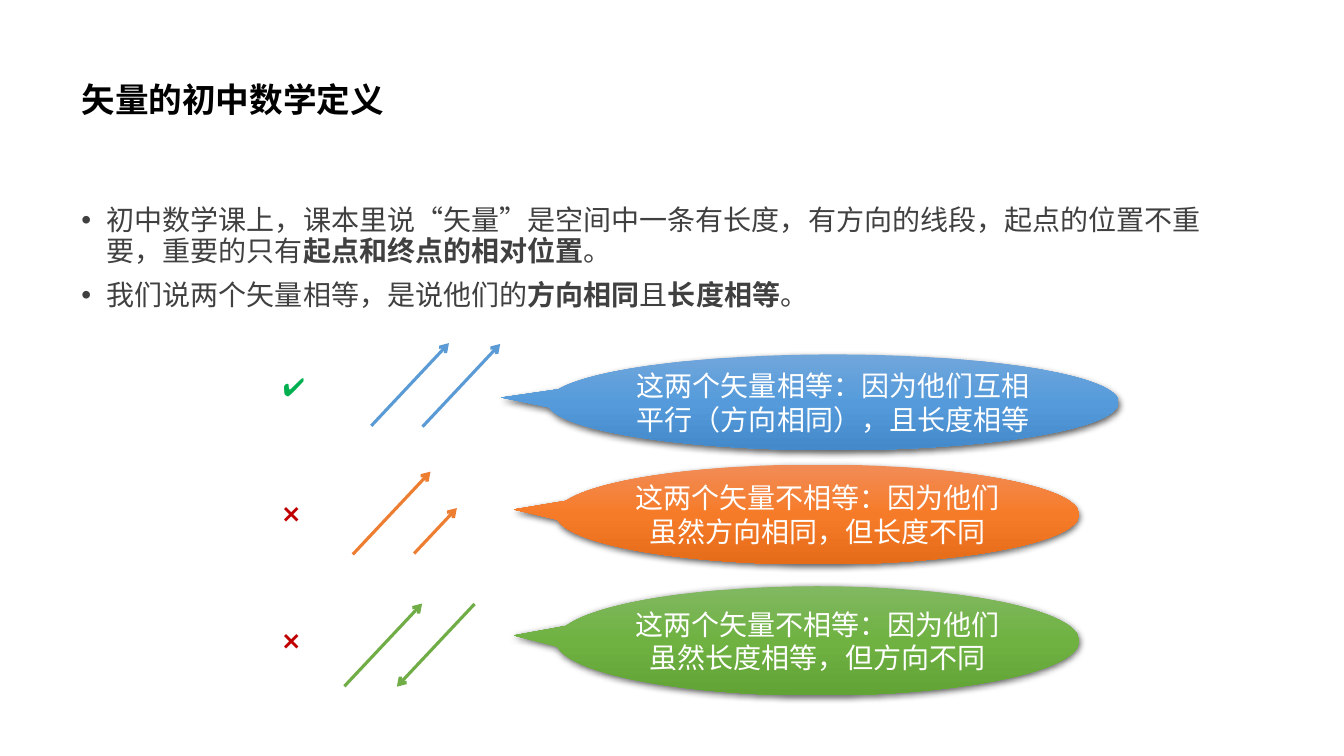
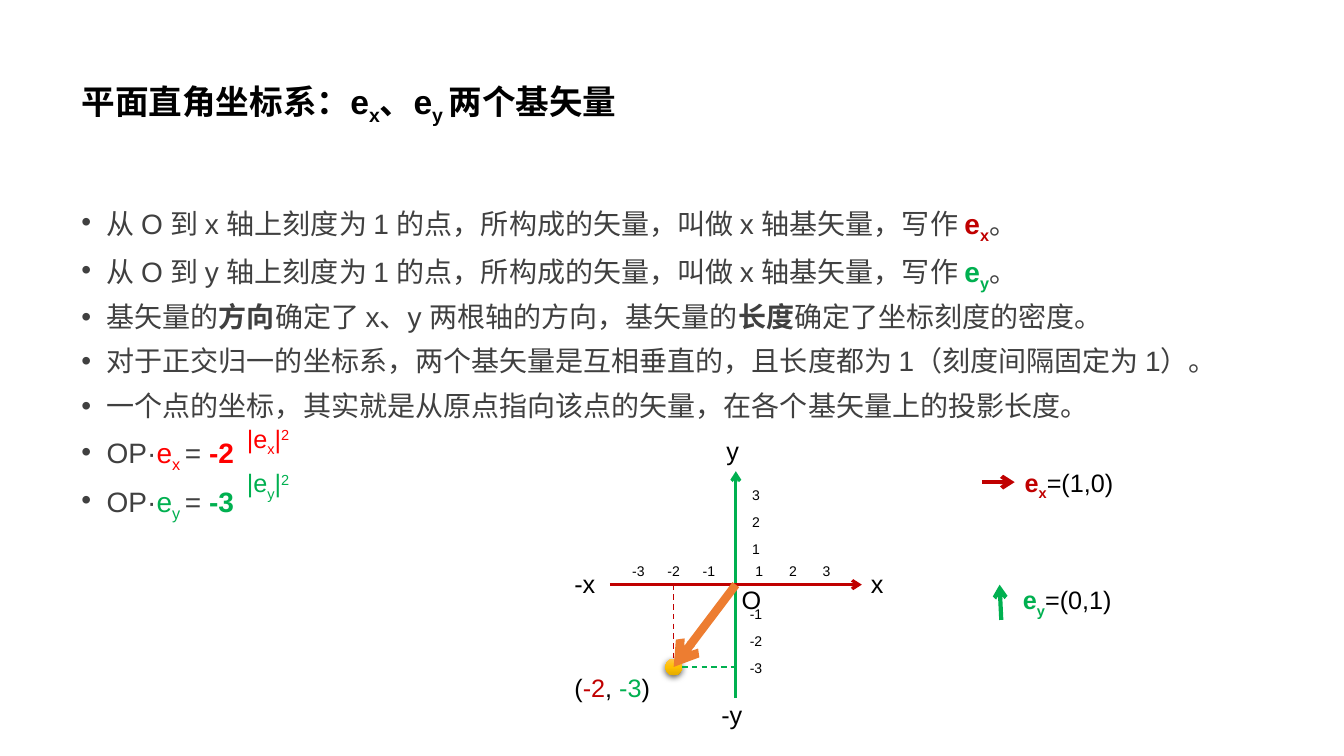
from copy import deepcopy

from lxml import etree
from pptx import Presentation
from pptx.dml.color import RGBColor
from pptx.enum import dml, lang, shapes, text
from pptx.oxml import ns
from pptx.util import Emu, Inches, Pt

WIDTH, HEIGHT = Inches(13.33), Inches(7.5)
COLUMNS, ROWS = 160, 90
FONT = "Arial"
BLACK = RGBColor(0x00, 0x00, 0x00)
WHITE = RGBColor(0xFF, 0xFF, 0xFF)
GREY = RGBColor(0x40, 0x40, 0x40)
CRIMSON = RGBColor(0xC0, 0x00, 0x00)
RED = RGBColor(0xFF, 0x00, 0x00)
GREEN = RGBColor(0x00, 0xB0, 0x50)
BLUE = RGBColor(0x5B, 0x9B, 0xD5)
ORANGE = RGBColor(0xED, 0x7D, 0x31)
LEAF = RGBColor(0x70, 0xAD, 0x47)
BLUE_BLEND = [RGBColor(0x71, 0xA6, 0xDB), RGBColor(0x55, 0x9B, 0xDB), RGBColor(0x44, 0x8A, 0xCA)]
ORANGE_BLEND = [RGBColor(0xF1, 0x8C, 0x57), RGBColor(0xF6, 0x7B, 0x28), RGBColor(0xE5, 0x6C, 0x19)]
LEAF_BLEND = [RGBColor(0x81, 0xB8, 0x61), RGBColor(0x6F, 0xB2, 0x42), RGBColor(0x62, 0xA3, 0x36)]
GOLD_BLEND = [RGBColor(0xFF, 0xC6, 0x4B), RGBColor(0xFF, 0xC0, 0x00), RGBColor(0xE3, 0xAB, 0x00)]

TITLE = {"size": Pt(24), "bold": True, "color": BLACK}
BODY = {"size": Pt(20), "bold": False, "color": GREY}
CALLOUT = {"size": Pt(20), "bold": False, "color": WHITE}
LABEL = {"size": Pt(18), "bold": False, "color": BLACK}
TICK = {"size": Pt(10), "bold": False, "color": BLACK}
BOLD = {"bold": True}
SUB, SUPER = {"baseline": -25000}, {"baseline": 30000}

TITLE_BOX = (8.5, 3.4, 138, 17.4)
BODY_BOX = (8.5, 24, 138, 57.1)
VECTOR = (9.25, -9.85)
ORIGIN = (87.6, 69.6)
POINT = (80.2, 79.4)


def col(n):
    """Return the length of n grid columns."""
    return Emu(round(WIDTH * n / COLUMNS))


def row(n):
    """Return the length of n grid rows."""
    return Emu(round(HEIGHT * n / ROWS))


def grid(x, y, w, h):
    """Return a box in grid cells as slide lengths."""
    return col(x), row(y), col(w), row(h)


def add_xml(parent, tag, **attrs):
    """Append a DrawingML element."""
    return etree.SubElement(parent, ns.qn(tag), attrs)


def write(p, runs, base):
    """Fill a paragraph with (text, format) runs over a base format."""
    for content, changes in runs:
        r = p.add_run()
        r.text = content
        values = {"name": FONT, "language_id": lang.MSO_LANGUAGE_ID.SIMPLIFIED_CHINESE,
                  **base, **changes}
        r.font.color.rgb = values.pop("color")
        baseline = values.pop("baseline", None)
        if baseline:
            r.font._element.set("baseline", str(baseline))
        for name, value in values.items():
            setattr(r.font, name, value)


def basis(axis, color, bold=True, prefix=""):
    """Return the runs of a basis vector with its subscript."""
    look = {"color": color, "bold": bold}
    return [(prefix + "e", look), (axis, {**look, **SUB})]


def set_layout(layout):
    """Place the title and body for every slide."""
    anchors = text.MSO_ANCHOR.MIDDLE, text.MSO_ANCHOR.TOP
    for sp, box, anchor in zip(layout.placeholders, (TITLE_BOX, BODY_BOX), anchors):
        sp.left, sp.top, sp.width, sp.height = grid(*box)
        sp.text_frame.vertical_anchor = anchor
        sp.text_frame.auto_size = text.MSO_AUTO_SIZE.NONE


def add_slide(prs, title, items):
    """Add a slide with a title and a bulleted list."""
    s = prs.slides.add_slide(prs.slide_layouts[1])
    p = s.shapes.title.text_frame.paragraphs[0]
    p.alignment, p.line_spacing = text.PP_ALIGN.LEFT, 0.9
    write(p, title, TITLE)
    tf = s.placeholders[1].text_frame
    for i, runs in enumerate(items):
        p = tf.add_paragraph() if i else tf.paragraphs[0]
        pPr = p._p.get_or_add_pPr()
        pPr.set("marL", str(Inches(0.25)))
        pPr.set("indent", str(-Inches(0.25)))
        add_xml(pPr, "a:buFont", typeface=FONT)
        add_xml(pPr, "a:buChar", char="•")
        p.line_spacing, p.space_before = 0.9, Pt(10 if i else 0)
        write(p, runs, BODY)
    return s


def add_label(s, x, y, w, runs, base=LABEL, align=text.PP_ALIGN.LEFT):
    """Add a one-line text box."""
    h = 4.8 if base is LABEL else 3.2
    tf = s.shapes.add_textbox(*grid(x, y, w, h)).text_frame
    tf.word_wrap = True
    tf.paragraphs[0].alignment = align
    write(tf.paragraphs[0], runs, base)


def add_tick(s, value, x, y):
    """Add an axis number centred on a column."""
    add_label(s, x - 2.5, y, 5, [(str(value), {})], TICK, text.PP_ALIGN.CENTER)


def add_line(s, start, end, color, width, arrow=True):
    """Add an arrow, or a dashed line without a head."""
    sp = s.shapes.add_connector(shapes.MSO_CONNECTOR.STRAIGHT, col(start[0]), row(start[1]),
                                col(end[0]), row(end[1]))
    sp.line.color.rgb, sp.line.width = color, Pt(width)
    if arrow:
        add_xml(sp.line._get_or_add_ln(), "a:tailEnd", type="arrow")
    else:
        sp.line.dash_style = dml.MSO_LINE.DASH
    add_xml(sp._element.spPr, "a:effectLst")
    return sp


def add_glossy(s, kind, box, blend):
    """Add a shape with a three-stop gradient and a soft shadow."""
    sp = s.shapes.add_shape(kind, *grid(*box))
    sp.line.fill.background()
    sp.fill.gradient()
    sp.fill.gradient_angle = 270
    first = sp._element.spPr.find(".//" + ns.qn("a:gs"))
    first.addnext(deepcopy(first))
    for stop, position, color in zip(sp.fill.gradient_stops, (0, 0.5, 1), blend):
        stop.position, stop.color.rgb = position, color
    sp.shadow.inherit = False
    effects = sp._element.spPr.find(ns.qn("a:effectLst"))
    shadow = add_xml(effects, "a:outerShdw", blurRad=str(Pt(4.5)), dist=str(Pt(1.5)),
                     dir="5400000", algn="ctr", rotWithShape="0")
    add_xml(add_xml(shadow, "a:srgbClr", val=str(BLACK)), "a:alpha", val="63000")
    return sp


def add_callout(s, box, blend, words):
    """Add a speech bubble that points left."""
    sp = add_glossy(s, shapes.MSO_SHAPE.OVAL_CALLOUT, box, blend)
    sp.adjustments[0], sp.adjustments[1] = -0.581, -0.05
    tf = sp.text_frame
    frame = {"word_wrap": True, "vertical_anchor": text.MSO_ANCHOR.MIDDLE, "margin_left": 0,
             "margin_right": 0, "margin_top": 0, "margin_bottom": 0}
    for name, value in frame.items():
        setattr(tf, name, value)
    tf.paragraphs[0].alignment = text.PP_ALIGN.CENTER
    write(tf.paragraphs[0], [(words, {})], CALLOUT)


def build_definition(prs):
    """Build the slide that compares pairs of vectors."""
    s = add_slide(prs, [("矢量的初中数学定义", {})], [
        [("初中数学课上，课本里说“矢量”是空间中一条有长度，有方向的线段，起点的位置不重要，重要的只有", {}),
         ("起点和终点的相对位置", BOLD), ("。", {})],
        [("我们说两个矢量相等，是说他们的", {}), ("方向相同", BOLD), ("且", {}),
         ("长度相等", BOLD), ("。", {})]])
    cases = [
        ("✔", GREEN, BLUE, BLUE_BLEND, (65.2, 42.2, 68, 11.4),
         "这两个矢量相等：因为他们互相平行（方向相同），且长度相等",
         [((44.2, 50.7), 1), ((50.3, 50.8), 1)]),
        ("❌", CRIMSON, ORANGE, ORANGE_BLEND, (66.2, 55.3, 62.3, 11.9),
         "这两个矢量不相等：因为他们虽然方向相同，但长度不同",
         [((42, 66), 1), ((49.3, 65.9), 0.55)]),
        ("❌", CRIMSON, LEAF, LEAF_BLEND, (66.2, 69.8, 62.3, 13),
         "这两个矢量不相等：因为他们虽然长度相等，但方向不同",
         [((41, 81.7), 1), ((56.5, 71.9), -1)])]
    for i, (mark, mark_color, color, blend, box, words, vectors) in enumerate(cases):
        add_callout(s, box, blend, words)
        for (x, y), scale in vectors:
            end = x + scale * VECTOR[0], y + scale * VECTOR[1]
            add_line(s, (x, y), end, color, 2.25)
        add_label(s, 32.5, 43.6 + 15.1 * i, 6.2, [(mark, {"color": mark_color, "bold": True})])


def add_axes(s):
    """Draw the two axes with their names and numbers."""
    x, y = ORIGIN
    add_line(s, (x, y + 13.5), (x, y - 13.5), GREEN, 2.25)
    add_line(s, (x - 15, y), (x + 15, y), CRIMSON, 2.25)
    for name, left, top in [("-x", 67.2, 67.1), ("x", 102.5, 67.1), ("y", 85.3, 51.2),
                            ("-y", 84.7, 82.7), ("O", 87.1, 69)]:
        add_label(s, left, top, 6, [(name, {})])
    for k in (1, 2, 3):
        add_tick(s, -k, 88.6 - 4.2 * k, 66.4)
        add_tick(s, k, 86.4 + 4 * k, 66.4)
        add_tick(s, -k, 90, 68.35 + 3.2 * k)
        add_tick(s, k, 90, 66.9 - 3.2 * k)


def build_basis(prs):
    """Build the slide on the two basis vectors."""
    title = [("平面直角坐标系：", {}), *basis("x", BLACK), ("、", {}), *basis("y ", BLACK),
             ("两个基矢量", {})]
    axes = [("x", CRIMSON, RED, "-2"), ("y", GREEN, GREEN, "-3")]
    items = [[(f"从 O 到 {axis} 轴上刻度为 1 的点，所构成的矢量，叫做 x 轴基矢量，写作 ", {}),
              *basis(axis, color), ("。", {})] for axis, color, _, _ in axes]
    items += [
        [("基矢量的", {}), ("方向", BOLD), ("确定了 x、y 两根轴的方向，基矢量的", {}),
         ("长度", BOLD), ("确定了坐标刻度的密度。", {})],
        [("对于正交归一的坐标系，两个基矢量是互相垂直的，且长度都为 1（刻度间隔固定为 1）。", {})],
        [("一个点的坐标，其实就是从原点指向该点的矢量，在各个基矢量上的投影长度。", {})]]
    items += [[("OP·", {}), *basis(axis + " ", color, False), ("= ", {}),
               (value, {"color": color, "bold": True})] for axis, _, color, value in axes]
    s = add_slide(prs, title, items)

    add_axes(s)
    add_label(s, 67.2, 79.4, 14, [("(", {}), ("-2", {"color": CRIMSON}), (", ", {}),
                                  ("-3", {"color": GREEN}), (")", {})])
    x, y = POINT
    dot = add_glossy(s, shapes.MSO_SHAPE.OVAL, (x - 1, y - 1, 2, 2), GOLD_BLEND)
    drop = add_line(s, (x, ORIGIN[1]), (x, y - 1), CRIMSON, 1, arrow=False)
    drop.end_connect(dot, 0)
    add_line(s, (x + 1, y), (ORIGIN[0], y), GREEN, 1, arrow=False)
    add_line(s, ORIGIN, POINT, ORANGE, 6)

    add_line(s, (116.9, 57.4), (120.8, 57.4), CRIMSON, 3)
    add_line(s, (119.2, 73.8), (119, 69.6), GREEN, 3)
    add_label(s, 120.8, 55, 15, [*basis("x", CRIMSON), ("=(1,0)", {})])
    add_label(s, 120.6, 69, 15, [*basis("y", GREEN), ("=(0,1)", {})])
    for i, (axis, _, color, _) in enumerate(axes):
        add_label(s, 28.2, 49.8 + 5.3 * i, 9, [
            *basis(axis, color, False, "|"), ("|", {"color": color}),
            ("2", {"color": color, **SUPER})])


def main():
    """Build and save the presentation."""
    prs = Presentation()
    prs.slide_width, prs.slide_height = WIDTH, HEIGHT
    set_layout(prs.slide_layouts[1])
    build_definition(prs)
    build_basis(prs)
    prs.save("out.pptx")


if __name__ == "__main__":
    main()
